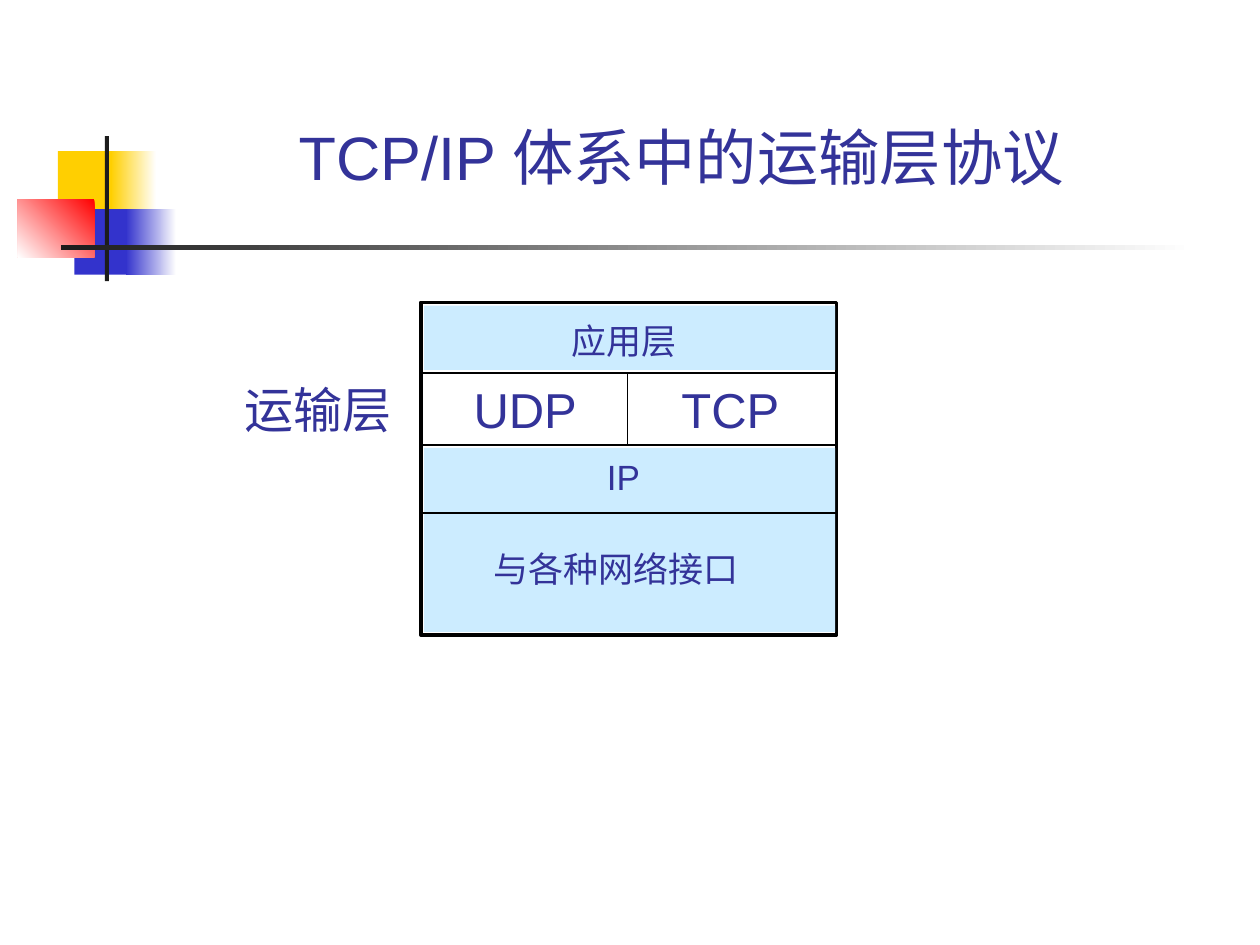
from itertools import accumulate
from pptx import Presentation
from pptx.dml.color import RGBColor
from pptx.enum.shapes import MSO_CONNECTOR as CONN, MSO_SHAPE as SHAPE
from pptx.enum.text import MSO_ANCHOR as ANCHOR, MSO_AUTO_SIZE as FIT, PP_ALIGN as ALIGN
from pptx.oxml.ns import qn
from pptx.util import Pt
from lxml.etree import SubElement

THEME = {
    "text": "333399", "white": "FFFFFF", "black": "000000", "dark": "1C1C1C",
    "gold": "FFCF01", "blue": "3333CC", "red": "FF0000", "band": "CCECFF",
    "title": 35, "protocol": 28, "layer": 20,
    "font": "Arial", "side_font": "Cabin",
}

TITLE = "TCP/IP 体系中的运输层协议"
TITLE_BOX = (87.8, 0, 613.4, 115.2)

DECOR = [
    ((33.1, 86.4, 34.6, 37.4), ("gold",), 0),
    ((63.4, 86.4, 25.9, 37.4), ("white", "gold"), 180),
    ((42.5, 119.5, 33.1, 37.4), ("blue",), 0),
    ((72, 119.5, 28.8, 37.4), ("white", "blue"), 180),
    ((10, 113.8, 43.9, 33.1), ("red", "white"), 225),
    ((59.9, 77.8, 2.3, 82.8), ("dark",), 0),
    ((34.6, 140.2, 648, 2.4), ("white", "dark"), 180),
]

STACK_LEFT, STACK_TOP, STACK_WIDTH = 240.5, 172.8, 237.6
ROW_HEIGHTS = [40.3, 41, 39, 69.8]
BANDS = [(0, 1), (2, 4)]
SPLIT_X = 358.6
GAP = 1.8

LABELS = [
    ("TCP", (382.3, 213.1, 70.6, 40.5), "protocol", "font", False),
    ("UDP", (263.5, 213.1, 73.4, 40.5), "protocol", "font", False),
    ("IP", (339.8, 257, 33.1, 31), "layer", "font", False),
    ("应用层", (319.7, 179.3, 76, 31), "layer", "font", False),
    ("与各种网络接口", (275, 309.6, 181.4, 31), "layer", "font", True),
    ("运输层", (132.8, 213.1, 100, 41), "protocol", "side_font", False),
]


def color(name):
    return RGBColor.from_string(THEME[name])


def points(values):
    return [Pt(v) for v in values]


def set_all(obj, values):
    for name, value in values.items():
        setattr(obj, name, value)


def add_rect(s, box, fills, angle=0, line=None):
    sp = s.shapes.add_shape(SHAPE.RECTANGLE, *points(box))
    sp.shadow.inherit = False
    if len(fills) == 1:
        sp.fill.solid()
        sp.fill.fore_color.rgb = color(fills[0])
    else:
        sp.fill.gradient()
        sp.fill.gradient_angle = angle
        for stop, name in zip(sp.fill.gradient_stops, fills):
            stop.color.rgb = color(name)
    if line:
        sp.line.color.rgb = color("black")
        sp.line.width = Pt(line)
    else:
        sp.line.fill.background()


def add_line(s, ends):
    c = s.shapes.add_connector(CONN.STRAIGHT, *points(ends))
    c.line.color.rgb = color("black")
    c.line.width = Pt(1)
    SubElement(c._element.spPr, qn("a:effectLst"))


def write(tf, text, size, font, align, frame):
    set_all(tf, frame)
    p = tf.paragraphs[0]
    p.alignment = align
    r = p.add_run()
    r.text = text
    set_all(r.font, {"size": Pt(THEME[size]), "name": THEME[font]})
    r.font.color.rgb = color("text")


def add_title(s):
    sp = s.shapes.title
    set_all(sp, dict(zip(("left", "top", "width", "height"), points(TITLE_BOX))))
    write(sp.text_frame, TITLE, "title", "font", ALIGN.CENTER, {
        "vertical_anchor": ANCHOR.BOTTOM, "word_wrap": True, "auto_size": FIT.NONE,
        "margin_right": Pt(17.5), "margin_bottom": Pt(5.2)})


def add_stack(s):
    edges = list(accumulate(ROW_HEIGHTS, initial=STACK_TOP))
    right = STACK_LEFT + STACK_WIDTH
    add_rect(s, (STACK_LEFT, STACK_TOP, STACK_WIDTH, edges[-1] - STACK_TOP),
             ("white",), line=2)
    for first, last in BANDS:
        top, bottom = edges[first] + GAP, edges[last] - GAP
        add_rect(s, (STACK_LEFT + GAP, top, STACK_WIDTH - 1.5 * GAP, bottom - top),
                 ("band",))
    for y in edges[1:-1]:
        add_line(s, (STACK_LEFT, y, right, y))
    add_line(s, (SPLIT_X, edges[1], SPLIT_X, edges[2]))


def main():
    prs = Presentation()
    set_all(prs, {"slide_width": Pt(720), "slide_height": Pt(540)})
    s = prs.slides.add_slide(prs.slide_layouts[5])
    for box, fills, angle in DECOR:
        add_rect(s, box, fills, angle)
    add_title(s)
    add_stack(s)
    for text, box, size, font, wrap in LABELS:
        tf = s.shapes.add_textbox(*points(box)).text_frame
        write(tf, text, size, font, ALIGN.LEFT,
              {"word_wrap": wrap, "auto_size": FIT.SHAPE_TO_FIT_TEXT})
    prs.save("out.pptx")


if __name__ == "__main__":
    main()
